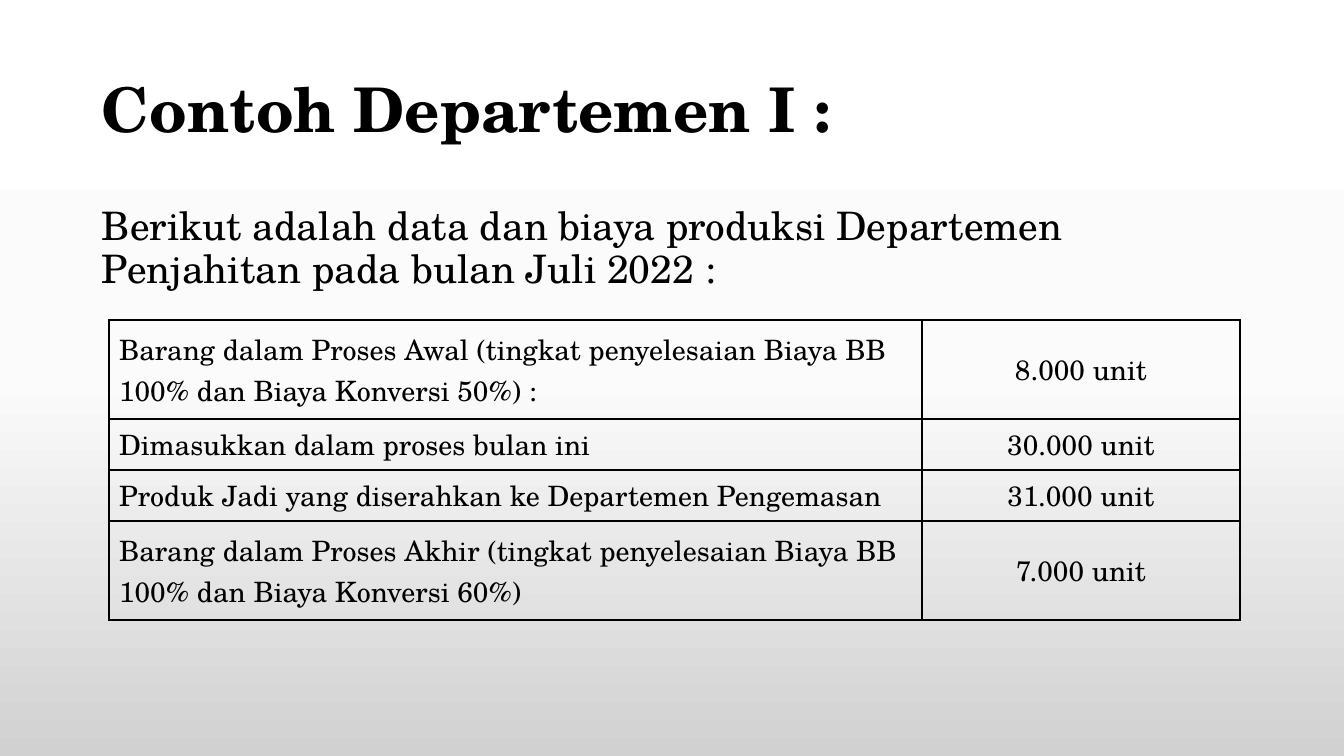
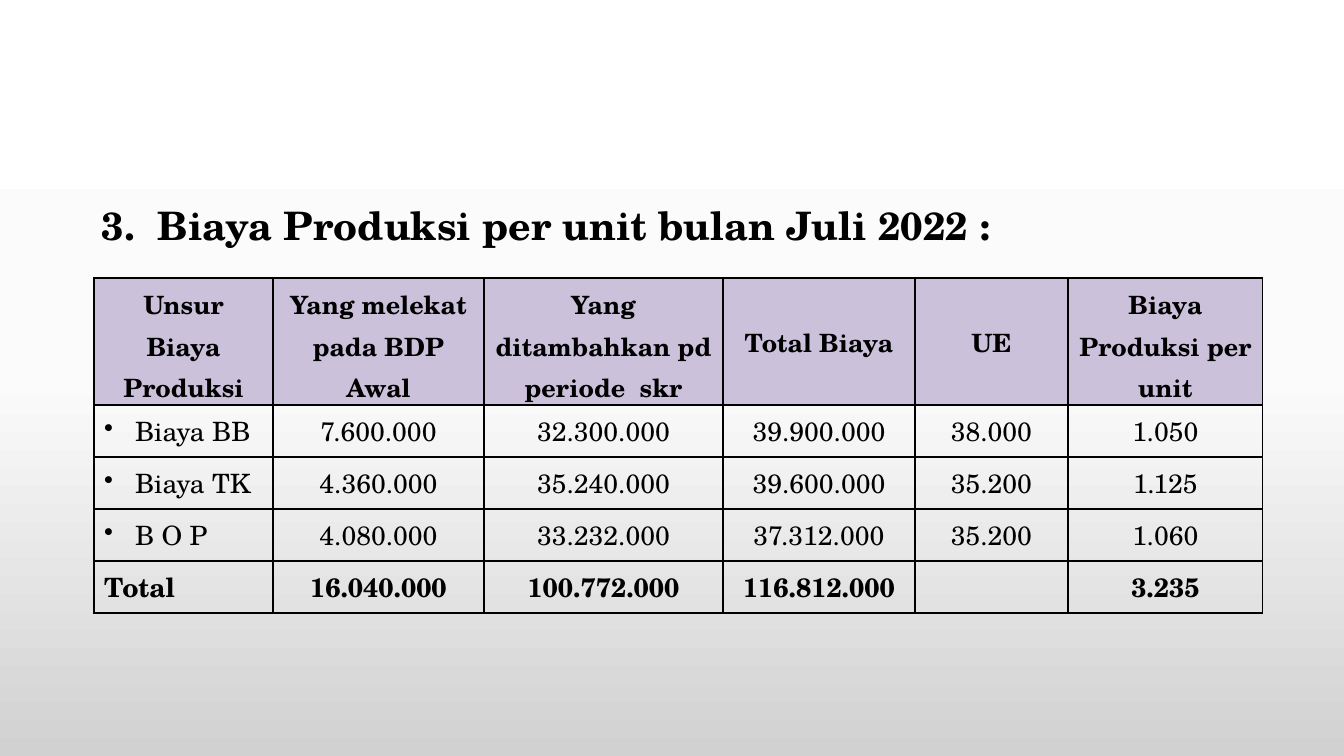
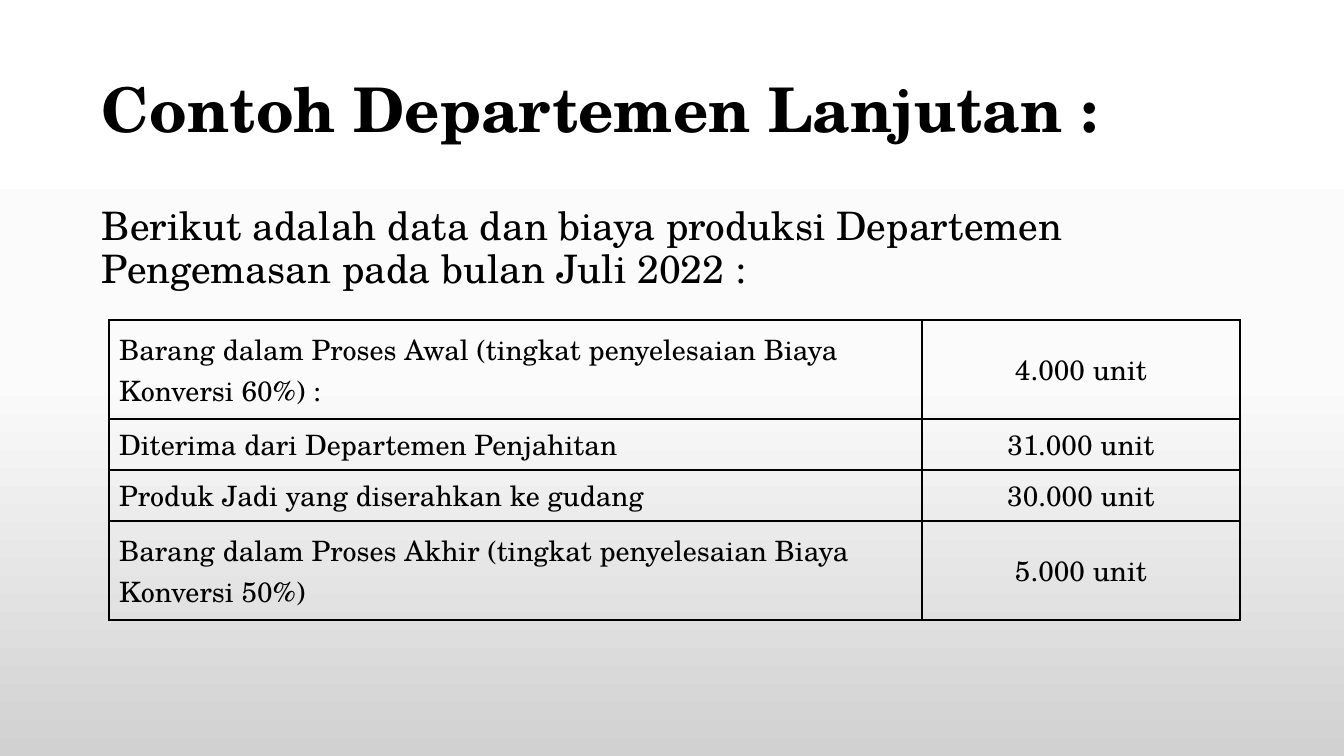
import pptx
import pptx.dml.color
import pptx.enum.text
import pptx.oxml
import pptx.oxml.ns
import pptx.util
import lxml.etree

# Shared look
EMU_PER_PX = 914400 / 100.8
FONT = "TeX Gyre Schola"
BLACK, HEADER_FILL = "000000", "CCC1DA"
BACKDROP = [(0, "FFFFFF"), (50, "FBFBFB"), (100, "D1D1D1")]
TITLE_BOX = (92, 40, 1160, 146)
BODY_BOX = (92, 202, 1160, 480)
CENTER = pptx.enum.text.PP_ALIGN.CENTER
LEFT = pptx.enum.text.PP_ALIGN.LEFT
MIDDLE = pptx.enum.text.MSO_ANCHOR.MIDDLE

# Content
DEPARTMENTS = {
    "first": {
        "title": "Contoh Departemen I :",
        "intro": "Berikut adalah data dan biaya produksi Departemen Penjahitan pada bulan Juli 2022 :",
        "rows": [
            ("Barang dalam Proses Awal (tingkat penyelesaian Biaya BB 100% dan Biaya Konversi 50%) :", "8.000 unit"),
            ("Dimasukkan dalam proses bulan ini", "30.000 unit"),
            ("Produk Jadi yang diserahkan ke Departemen Pengemasan", "31.000 unit"),
            ("Barang dalam Proses Akhir (tingkat penyelesaian Biaya BB 100% dan Biaya Konversi 60%)", "7.000 unit"),
        ],
    },
    "next": {
        "title": "Contoh Departemen Lanjutan :",
        "intro": "Berikut adalah data dan biaya produksi Departemen Pengemasan pada bulan Juli 2022 :",
        "rows": [
            ("Barang dalam Proses Awal (tingkat penyelesaian Biaya Konversi 60%) :", "4.000 unit"),
            ("Diterima dari Departemen Penjahitan", "31.000 unit"),
            ("Produk Jadi yang diserahkan ke gudang", "30.000 unit"),
            ("Barang dalam Proses Akhir (tingkat penyelesaian Biaya Konversi 50%)", "5.000 unit"),
        ],
    },
}
UNIT_GRID = {"at": (109, 320), "columns": [813, 318], "heights": [99, 51, 51, 99]}

COST_HEADING = "Biaya Produksi per unit bulan Juli 2022 :"
COST_ROWS = [
    ("Unsur Biaya Produksi", "Yang melekat pada BDP Awal", "Yang ditambahkan pd periode  skr",
     "Total Biaya", "UE", "Biaya Produksi per unit"),
    ("Biaya BB", "7.600.000", "32.300.000", "39.900.000", "38.000", "1.050"),
    ("Biaya TK", "4.360.000", "35.240.000", "39.600.000", "35.200", "1.125"),
    ("B O P", "4.080.000", "33.232.000", "37.312.000", "35.200", "1.060"),
    ("Total", "16.040.000", "100.772.000", "116.812.000", "", "3.235"),
]
COST_GRID = {"at": (94, 278), "columns": [179, 211, 239, 192, 153, 195],
             "heights": [127, 52, 52, 52, 52]}


def px(length):
    return pptx.util.Emu(round(length * EMU_PER_PX))


def color(hex_text):
    return pptx.dml.color.RGBColor.from_string(hex_text)


def add_xml(parent, tag, **attributes):
    return lxml.etree.SubElement(parent, pptx.oxml.ns.qn(tag), attributes)


def write(para, text, size, bold=False):
    span = para.add_run()
    span.text = text
    span.font.name = FONT
    span.font.size = pptx.util.Pt(size)
    span.font.bold = bold
    span.font.color.rgb = color(BLACK)


def add_marker(para, indent, tag, **attributes):
    """Hang a bullet or number in front of the paragraph."""
    properties = para._p.get_or_add_pPr()
    properties.set("marL", str(px(indent)))
    properties.set("indent", str(-px(indent)))
    add_xml(properties, tag, **attributes)


def add_text(page, place, text, size, bold=False):
    frame = page.shapes.add_textbox(*map(px, place)).text_frame
    frame.word_wrap = True
    para = frame.paragraphs[0]
    para.line_spacing = 0.9
    write(para, text, size, bold)
    return frame


def add_title(page, text):
    add_text(page, TITLE_BOX, text, 44, True).vertical_anchor = MIDDLE


def add_body(page, text, bold=False):
    frame = add_text(page, BODY_BOX, text, 28, bold)
    frame.auto_size = pptx.enum.text.MSO_AUTO_SIZE.TEXT_TO_FIT_SHAPE
    para = frame.paragraphs[0]
    para.space_before = pptx.util.Pt(10)
    return para


def draw_borders(cell):
    properties = cell._tc.get_or_add_tcPr()
    for position, side in enumerate(("a:lnL", "a:lnR", "a:lnT", "a:lnB")):
        line = add_xml(properties, side, w=str(pptx.util.Pt(1)))
        add_xml(add_xml(line, "a:solidFill"), "a:srgbClr", val=BLACK)
        properties.insert(position, line)


def add_grid(page, grid, rows, style):
    """Draw a bordered table; style(row, column) gives size, bold and fill."""
    columns, heights = grid["columns"], grid["heights"]
    place = (*grid["at"], sum(columns), sum(heights))
    table = page.shapes.add_table(len(rows), len(columns), *map(px, place)).table
    table.first_row = table.horz_banding = False
    for column, width in zip(table.columns, columns):
        column.width = px(width)
    for r, texts in enumerate(rows):
        table.rows[r].height = px(heights[r])
        for c, text in enumerate(texts):
            cell = table.cell(r, c)
            size, bold, fill = style(r, c)
            cell.vertical_anchor = MIDDLE
            if fill:
                cell.fill.solid()
                cell.fill.fore_color.rgb = color(fill)
            else:
                cell.fill.background()
            draw_borders(cell)
            para = cell.text_frame.paragraphs[0]
            para.alignment = CENTER if c or fill else LEFT
            if text:
                write(para, text, size, bold)
    return table


def cost_style(row, column):
    if row == 0:
        return 18, True, HEADER_FILL
    return 19, row == len(COST_ROWS) - 1, None


def paint_backdrop(master):
    fill = master.background.fill
    fill.gradient()
    fill.gradient_angle = 270
    stops = master.element.find(".//" + pptx.oxml.ns.qn("a:gsLst"))
    for stop in list(stops):
        stops.remove(stop)
    for percent, shade in BACKDROP:
        stop = add_xml(stops, "a:gs", pos=str(percent * 1000))
        add_xml(stop, "a:srgbClr", val=shade)


def build_department(page, department):
    add_title(page, department["title"])
    add_body(page, department["intro"])
    add_grid(page, UNIT_GRID, department["rows"], lambda row, column: (20, False, None))


def build_costs(page):
    heading = add_body(page, COST_HEADING, True)
    add_marker(heading, 56, "a:buAutoNum", type="arabicPeriod", startAt="3")
    table = add_grid(page, COST_GRID, COST_ROWS, cost_style)
    for column in range(len(COST_ROWS[0])):
        table.cell(0, column).text_frame.paragraphs[0].line_spacing = 1.06
    for row in range(1, len(COST_ROWS) - 1):
        add_marker(table.cell(row, 0).text_frame.paragraphs[0], 31, "a:buChar", char="•")


def main():
    deck = pptx.Presentation()
    deck.slide_width, deck.slide_height = px(1344), px(756)
    paint_backdrop(deck.slide_master)
    blank = deck.slide_layouts[6]
    build_department(deck.slides.add_slide(blank), DEPARTMENTS["first"])
    build_costs(deck.slides.add_slide(blank))
    build_department(deck.slides.add_slide(blank), DEPARTMENTS["next"])
    deck.save("out.pptx")


if __name__ == "__main__":
    main()
